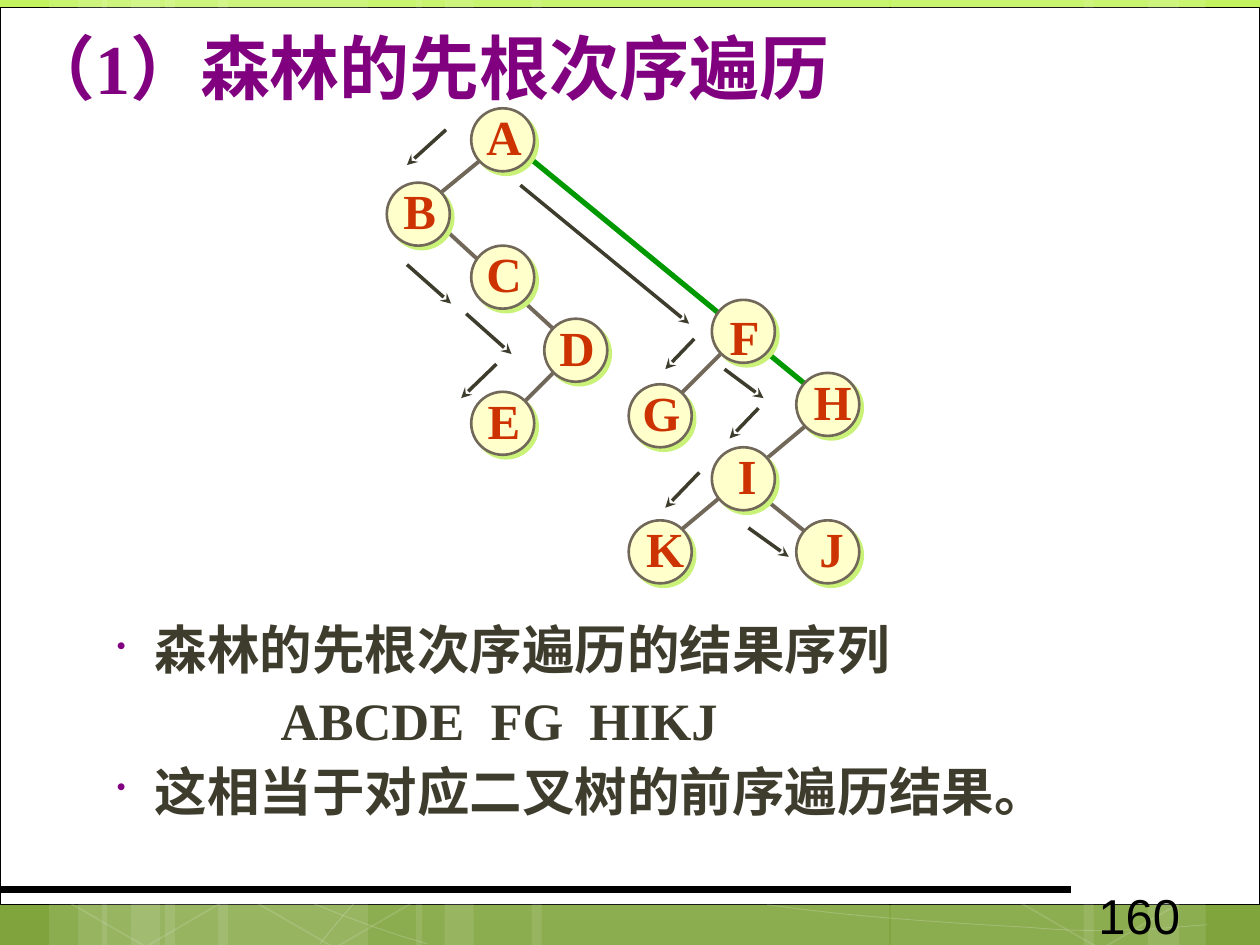
from typing import NamedTuple

from lxml.etree import SubElement
from pptx import Presentation
from pptx.dml.color import RGBColor
from pptx.enum.shapes import MSO_CONNECTOR, MSO_SHAPE
from pptx.enum.text import MSO_ANCHOR, MSO_AUTO_SIZE, PP_ALIGN
from pptx.oxml import parse_xml
from pptx.oxml.ns import nsdecls, qn
from pptx.util import Inches, Pt

STRAIGHT = MSO_CONNECTOR.STRAIGHT
RECTANGLE, OVAL, HEXAGON = MSO_SHAPE.RECTANGLE, MSO_SHAPE.OVAL, MSO_SHAPE.HEXAGON
TOP, MIDDLE = MSO_ANCHOR.TOP, MSO_ANCHOR.MIDDLE
LEFT, CENTER = PP_ALIGN.LEFT, PP_ALIGN.CENTER
NO_AUTOFIT = MSO_AUTO_SIZE.NONE

WHITE, BLACK = RGBColor(255, 255, 255), RGBColor(0, 0, 0)
PURPLE = RGBColor(0x80, 0x00, 0x80)
OLIVE = RGBColor(0x3E, 0x3D, 0x2D)
GREEN = RGBColor(0x00, 0x99, 0x00)
BROWN = RGBColor(0x71, 0x68, 0x5A)
CREAM = RGBColor(0xFF, 0xFF, 0xCC)
RED = RGBColor(0xCC, 0x33, 0x00)
LIME = RGBColor(0xCA, 0xF2, 0x78)
SERIF, SANS = "Times New Roman", "Arial"

WIDTH, HEIGHT = 10, 7.5
DIAMETER = 0.5
COLUMNS = (3.32, 3.99, 4.57, 5.24, 5.9, 6.57)  # node centres, inches
LABEL_SIZE = (0.48, 0.57)


class Node(NamedTuple):
    name: str
    column: int
    y: float
    label_dx: float = 0.01
    label_dy: float = -0.03


class Segment(NamedTuple):
    x1: float
    y1: float
    x2: float
    y2: float
    color: RGBColor = BROWN
    width: float = 2.25


NODES = (
    Node("A", 1, 1.11), Node("B", 0, 1.7), Node("C", 1, 2.2),
    Node("D", 2, 2.78), Node("E", 1, 3.36),
    Node("F", 4, 2.63, 0.01, 0.04), Node("G", 3, 3.3, 0),
    Node("H", 5, 3.21, 0.03), Node("I", 4, 3.8, 0.03),
    Node("K", 3, 4.38, 0.03), Node("J", 5, 4.38, 0.03),
)
EDGES = (
    Segment(4.15, 1.21, 6.49, 3.13, GREEN, 3),
    Segment(4.49, 2.86, 4.07, 3.28), Segment(3.4, 1.7, 4.49, 2.7),
    Segment(3.9, 1.2, 3.4, 1.61), Segment(6.07, 3.96, 6.49, 4.3),
    Segment(6.49, 3.3, 5.4, 4.21), Segment(5.82, 2.71, 5.32, 3.21),
)
VISITS = (
    (3.54, 1.03, 3.23, 1.31), (3.23, 2.1, 3.58, 2.41), (3.7, 2.49, 4.06, 2.81),
    (3.94, 2.89, 3.66, 3.16), (4.13, 1.47, 5.47, 2.57), (5.51, 2.69, 5.28, 2.93),
    (5.75, 2.93, 6.06, 3.16), (6.02, 3.24, 5.79, 3.48), (5.55, 3.75, 5.28, 4.03),
    (5.94, 4.19, 6.26, 4.42),
)
# Translucent background decoration: (left, width) and (left, top)
STRIPS = (
    (1.31, 1.61), (0.39, 0.46), (0.62, 0.77), (1.73, 1.62), (0.81, 0.46), (1.04, 0.77),
    (7.07, 1.61), (9.11, 0.46), (8.6, 0.76), (4.22, 2.84), (3.3, 0.46), (3.53, 0.77),
)
HEXAGONS = ((0.41, 5.91), (1.91, 5.92), (7.99, 5.93))
# Cubic curves: a start point, then three points for each piece
CURVES = (
    ((0.36, 6.17), (1.47, 6.72), (2.58, 7.27), (3.39, 7.49)),
    ((6.09, 7.18), (6.85, 7.29), (7.67, 7.33), (8.16, 7.36), (8.64, 7.4),
     (8.77, 7.38), (9.01, 7.38), (9.24, 7.37), (9.41, 7.35), (9.58, 7.34)),
    ((2.54, 7.49), (2.7, 7.29), (2.86, 7.09), (3.09, 6.91)),
)


def set_alpha(fill, percent: int) -> None:
    fill.solid()
    fill.fore_color.rgb = WHITE
    color = fill._xPr.find(".//" + qn("a:srgbClr"))
    SubElement(color, qn("a:alpha"), val=str(percent * 1000))


def add_shape(slide, kind, left: float, top: float, width: float, height: float):
    shape = slide.shapes.add_shape(kind, *map(Inches, (left, top, width, height)))
    shape.shadow.inherit = False
    return shape


def add_line(slide, segment: Segment, arrow: bool = False) -> None:
    connector = slide.shapes.add_connector(STRAIGHT, *map(Inches, segment[:4]))
    connector.line.color.rgb = segment.color
    connector.line.width = Pt(segment.width)
    properties = connector._element.spPr
    if arrow:
        SubElement(properties.find(qn("a:ln")), qn("a:tailEnd"), type="stealth")
    SubElement(properties, qn("a:effectLst"))


def add_run(paragraph, text: str, size: float, font: str, color: RGBColor, bold: bool = True) -> None:
    run = paragraph.add_run()
    run.text = text
    run.font.size, run.font.name, run.font.bold = Pt(size), font, bold
    run.font.color.rgb = color


def add_text_frame(slide, left: float, top: float, width: float, height: float, wrap: bool = True):
    frame = slide.shapes.add_textbox(*map(Inches, (left, top, width, height))).text_frame
    frame.word_wrap = wrap
    return frame


def indent(paragraph, left: float, first: float) -> None:
    properties = paragraph._p.get_or_add_pPr()
    properties.set("marL", str(Inches(left)))
    properties.set("indent", str(Inches(first)))


def add_bullet(paragraph) -> None:
    properties = paragraph._p.get_or_add_pPr()
    color = SubElement(properties, qn("a:buClr"))
    SubElement(color, qn("a:srgbClr"), val=str(PURPLE))
    SubElement(properties, qn("a:buSzPct"), val="50000")
    SubElement(properties, qn("a:buChar"), char="•")


def add_curve(slide, points, steps: int = 12) -> None:
    samples = []
    for first in range(0, len(points) - 1, 3):
        a, b, c, d = points[first:first + 4]
        for step in range(steps + 1):
            t = step / steps
            weights = ((1 - t) ** 3, 3 * t * (1 - t) ** 2, 3 * t * t * (1 - t), t ** 3)
            samples.append(tuple(
                Inches(sum(w * p[axis] for w, p in zip(weights, (a, b, c, d)))) for axis in (0, 1)))
    builder = slide.shapes.build_freeform(*samples[0])
    builder.add_line_segments(samples[1:], close=False)
    shape = builder.convert_to_shape()
    shape.shadow.inherit = False
    shape.fill.background()
    set_alpha(shape.line.fill, 20)
    shape.line.width = Pt(0.5)


def add_background(slide) -> None:
    slide.background.fill.solid()
    properties = slide._element.find(".//" + qn("p:bgPr"))
    stops = "".join(
        f'<a:gs pos="{share * 1000}"><a:srgbClr val="{color}"/></a:gs>'
        for share, color in ((0, "C2F35F"), (62, "92BE3F"), (100, "80A33D")))
    properties.replace(properties[0], parse_xml(
        f'<a:gradFill {nsdecls("a")}><a:gsLst>{stops}</a:gsLst><a:lin ang="5400000" scaled="0"/></a:gradFill>'))

    panel = add_shape(slide, RECTANGLE, 0, 0.06, WIDTH, 7.12)
    panel.fill.solid()
    panel.fill.fore_color.rgb = WHITE
    panel.line.color.rgb = BLACK
    panel.line.width = Pt(0.5)
    for left, width in STRIPS:
        strip = add_shape(slide, RECTANGLE, left, 0, width, HEIGHT)
        set_alpha(strip.fill, 10)
        strip.line.fill.background()
    for points in CURVES:
        add_curve(slide, points)
    for left, top in HEXAGONS:
        hexagon = add_shape(slide, HEXAGON, left, top, 1.61, 1.52)
        hexagon.adjustments[0] = 0.285
        hexagon.rotation = 30
        hexagon.fill.background()
        set_alpha(hexagon.line.fill, 12)
        hexagon.line.width = Pt(1)
    add_line(slide, Segment(0, 7.06, 0.85 * WIDTH, 7.06, BLACK, 4.5))


def add_node(slide, node: Node) -> None:
    x, y = COLUMNS[node.column], node.y
    circle = add_shape(slide, OVAL, x - DIAMETER / 2, y - DIAMETER / 2, DIAMETER, DIAMETER)
    circle.fill.solid()
    circle.fill.fore_color.rgb = CREAM
    circle.line.color.rgb = BROWN
    circle.line.width = Pt(1.5)
    effects = circle._element.spPr.find(qn("a:effectLst"))
    shadow = SubElement(effects, qn("a:outerShdw"), dist=str(Pt(2.8)), dir="2700000", algn="ctr", rotWithShape="0")
    SubElement(shadow, qn("a:srgbClr"), val=str(LIME))

    width, height = LABEL_SIZE
    frame = add_text_frame(slide, x + node.label_dx - width / 2, y + node.label_dy - height / 2,
                           width, height, wrap=False)
    frame.vertical_anchor = MIDDLE
    frame.paragraphs[0].alignment = CENTER
    add_run(frame.paragraphs[0], node.name, 28, SERIF, RED)


def add_title(slide) -> None:
    title = slide.shapes.title
    title.left, title.top, title.width, title.height = map(Inches, (0.03, 0.08, 7.76, 0.8))
    title._element.getparent().append(title._element)  # in front of the panel
    frame = title.text_frame
    frame.auto_size, frame.vertical_anchor, frame.word_wrap = NO_AUTOFIT, TOP, True
    paragraph = frame.paragraphs[0]
    paragraph.alignment, paragraph.line_spacing, paragraph.space_before = LEFT, 1.1, Pt(0)
    indent(paragraph, 0.07, 0)
    add_run(paragraph, "（1）", 40, SERIF, PURPLE)
    add_run(paragraph, "森林的先根次序遍历", 40, SANS, PURPLE)


def add_body(slide) -> None:
    frame = add_text_frame(slide, 0.75, 4.85, 9, 2.01)
    lines = (("森林的先根次序遍历的结果序列", True), ("ABCDE  FG  HIKJ", False),
             ("这相当于对应二叉树的前序遍历结果。", True))
    for number, (text, bulleted) in enumerate(lines):
        paragraph = frame.add_paragraph() if number else frame.paragraphs[0]
        if number:
            paragraph.space_before = Pt(4.5)
        if bulleted:
            indent(paragraph, 0.38, -0.3)
            add_bullet(paragraph)
        else:
            indent(paragraph, 1.38, 0)
        add_run(paragraph, text, 30, SERIF, OLIVE)


def main() -> None:
    presentation = Presentation()
    presentation.slide_width, presentation.slide_height = Inches(WIDTH), Inches(HEIGHT)
    slide = presentation.slides.add_slide(presentation.slide_layouts[5])
    add_background(slide)
    add_body(slide)
    page = add_text_frame(slide, 8.62, 6.98, 1.46, 0.4)
    add_run(page.paragraphs[0], "160", 28, SANS, BLACK, bold=False)
    # Forest and its traversal order
    for edge in EDGES:
        add_line(slide, edge)
    for node in NODES:
        add_node(slide, node)
    for visit in VISITS:
        add_line(slide, Segment(*visit, OLIVE, 2), arrow=True)
    add_title(slide)
    presentation.save("out.pptx")


if __name__ == "__main__":
    main()
